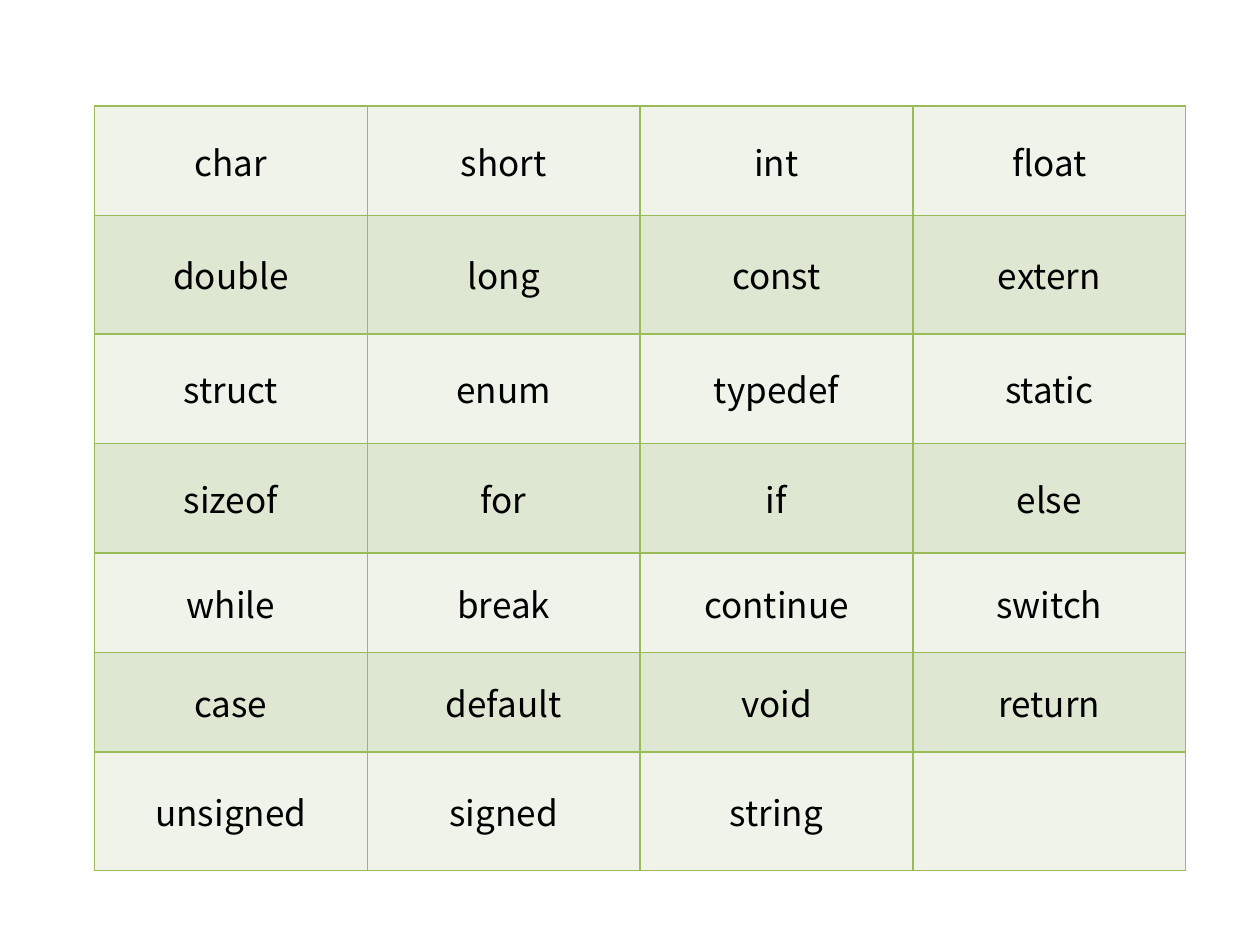
from dataclasses import dataclass

from lxml.etree import SubElement
from pptx import Presentation
from pptx.dml.color import RGBColor
from pptx.enum.text import MSO_ANCHOR, PP_ALIGN
from pptx.oxml.ns import qn
from pptx.util import Inches, Pt


@dataclass(frozen=True)
class Theme:
    font: str = "Noto Sans CJK KR"
    text_size: int = 20
    text_color: str = "000000"
    bands: tuple = ("EFF3EA", "DEE7D1")
    border_color: str = "9BBB59"
    border_width: int = 1


KEYWORDS = [
    ["char", "short", "int", "float"],
    ["double", "long", "const", "extern"],
    ["struct", "enum", "typedef", "static"],
    ["sizeof", "for", "if", "else"],
    ["while", "break", "continue", "switch"],
    ["case", "default", "void", "return"],
    ["unsigned", "signed", "string", ""],
]
ROW_HEIGHTS = [0.87, 0.94, 0.87, 0.87, 0.79, 0.79, 0.94]


class PageBuilder:
    def __init__(self, page, theme):
        self.page = page
        self.theme = theme

    def add_table(self, rows, left, top, width, row_heights):
        """Add a table with equal columns and alternating row fills."""
        column_count = len(rows[0])
        table = self.page.shapes.add_table(
            len(rows), column_count, Inches(left), Inches(top),
            Inches(width), Inches(sum(row_heights))).table
        table.first_row = False
        for column in table.columns:
            column.width = Inches(width / column_count)
        for row_index, (words, height) in enumerate(zip(rows, row_heights)):
            table.rows[row_index].height = Inches(height)
            band = self.theme.bands[row_index % len(self.theme.bands)]
            for column_index, word in enumerate(words):
                self.format_cell(table.cell(row_index, column_index), word, band)

    def format_cell(self, cell, word, fill_color):
        self.add_borders(cell)
        cell.fill.solid()
        cell.fill.fore_color.rgb = RGBColor.from_string(fill_color)
        cell.vertical_anchor = MSO_ANCHOR.MIDDLE
        if not word:
            return
        cell.text_frame.text = word
        para = cell.text_frame.paragraphs[0]
        para.alignment = PP_ALIGN.CENTER
        font = para.runs[0].font
        font.name = self.theme.font
        font.size = Pt(self.theme.text_size)
        font.color.rgb = RGBColor.from_string(self.theme.text_color)

    def add_borders(self, cell):
        """Add the four border lines, which must come before the cell's fill."""
        properties = cell._tc.get_or_add_tcPr()
        for side in ("a:lnL", "a:lnR", "a:lnT", "a:lnB"):
            line = SubElement(properties, qn(side), w=str(Pt(self.theme.border_width)))
            fill = SubElement(line, qn("a:solidFill"))
            SubElement(fill, qn("a:srgbClr"), val=self.theme.border_color)


def main():
    deck = Presentation()
    deck.slide_width = Inches(10)
    deck.slide_height = Inches(7.5)
    blank_layout = deck.slide_layouts.get_by_name("Blank")
    builder = PageBuilder(deck.slides.add_slide(blank_layout), Theme())
    builder.add_table(KEYWORDS, 0.75, 0.84, 8.66, ROW_HEIGHTS)
    deck.save("out.pptx")


if __name__ == "__main__":
    main()
